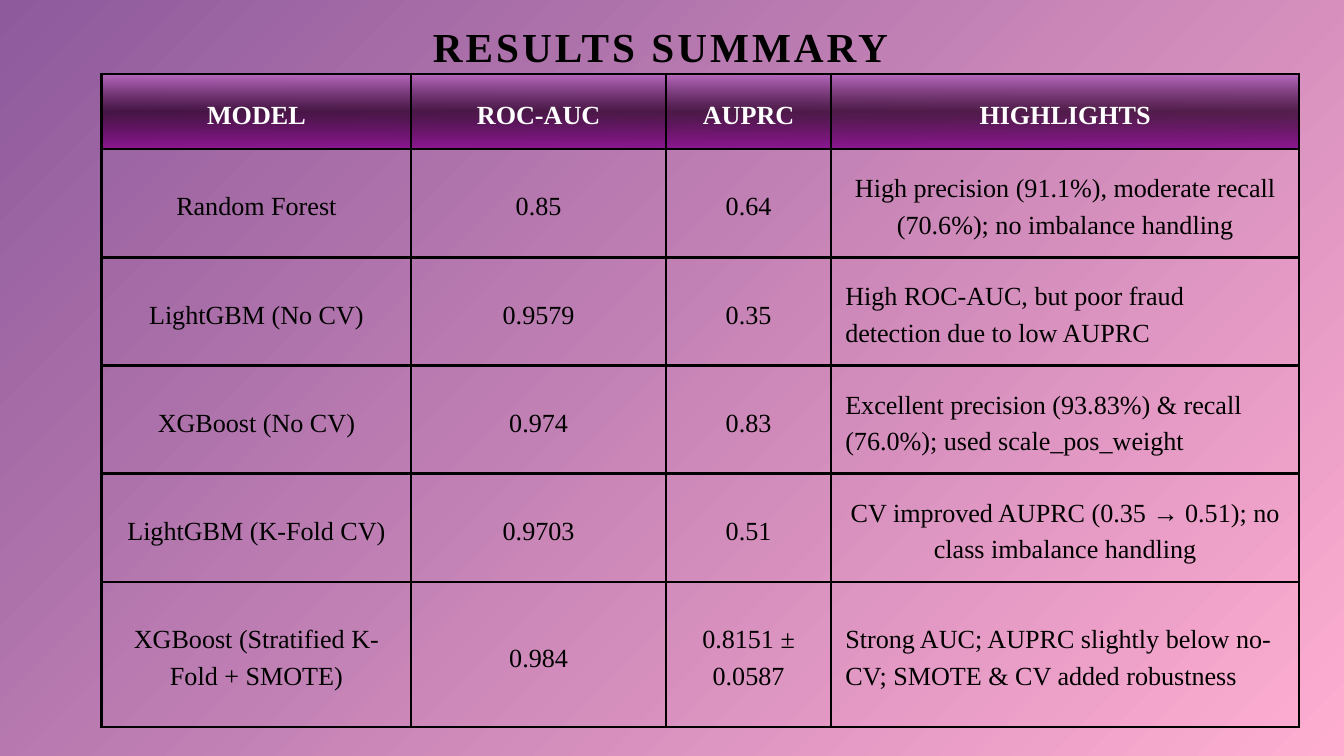
from lxml.etree import SubElement
from pptx import Presentation
from pptx.dml.color import RGBColor
from pptx.enum.text import MSO_ANCHOR, MSO_AUTO_SIZE, PP_ALIGN
from pptx.oxml.ns import qn
from pptx.util import Inches, Pt

FONT = "Times New Roman"
BLACK = RGBColor(0x00, 0x00, 0x00)
WHITE = RGBColor(0xFF, 0xFF, 0xFF)
MAUVE = RGBColor(0x8E, 0x5A, 0x9C)
PINK = RGBColor(0xFF, 0xAE, 0xD1)
ORCHID = RGBColor(0xBD, 0x6D, 0xC4)
PLUM = RGBColor(0x32, 0x03, 0x2F)
PURPLE = RGBColor(0x91, 0x18, 0x96)

# Gradient stops: position %, colour, opacity %
PAGE_STOPS = [(0, MAUVE, 100), (100, PINK, 100)]
HEADER_STOPS = [(0, ORCHID, 100), (50, PLUM, 80), (100, PURPLE, 100)]

COLUMNS = [4.61, 3.79, 2.46, 6.96]
ROWS = [1.12] + [1.61] * 4 + [2.16]
LEFT_ALIGNED_ROWS = (2, 3, 5)  # in the highlights column
RESULTS = [
    ("MODEL", "ROC-AUC", "AUPRC", "HIGHLIGHTS"),
    ("Random Forest", "0.85", "0.64",
     "High precision (91.1%), moderate recall (70.6%); no imbalance handling"),
    ("LightGBM (No CV)", "0.9579", "0.35",
     "High ROC-AUC, but poor fraud detection due to low AUPRC"),
    ("XGBoost (No CV)", "0.974", "0.83",
     "Excellent precision (93.83%) & recall (76.0%); used scale_pos_weight"),
    ("LightGBM (K-Fold CV)", "0.9703", "0.51",
     "CV improved AUPRC (0.35 → 0.51); no class imbalance handling"),
    ("XGBoost (Stratified K-Fold + SMOTE)", "0.984", "0.8151 ± 0.0587",
     "Strong AUC; AUPRC slightly below no-CV; SMOTE & CV added robustness"),
]


def add_gradient(parent, stops, angle):
    grad = SubElement(parent, qn("a:gradFill"), rotWithShape="1")
    gs_list = SubElement(grad, qn("a:gsLst"))
    for pos, color, opacity in stops:
        gs = SubElement(gs_list, qn("a:gs"), pos=str(pos * 1000))
        clr = SubElement(gs, qn("a:srgbClr"), val=str(color))
        if opacity < 100:
            SubElement(clr, qn("a:alpha"), val=str(opacity * 1000))
    SubElement(grad, qn("a:lin"), ang=str(angle * 60000), scaled="0")


def add_borders(tc_pr, color, width):
    for side in ("L", "R", "T", "B"):
        ln = SubElement(tc_pr, qn(f"a:ln{side}"), w=str(Pt(width)))
        fill = SubElement(ln, qn("a:solidFill"))
        SubElement(fill, qn("a:srgbClr"), val=str(color))


def style_text(p, size, color, bold, align, spacing):
    p.alignment = align
    p.line_spacing = Pt(spacing)
    for r in p.runs:
        r.font.name, r.font.size = FONT, Pt(size)
        r.font.bold, r.font.color.rgb = bold, color


def set_background(s):
    s.background.fill.solid()
    bg_pr = s.background._cSld.bg.bgPr
    bg_pr.remove(bg_pr[0])
    add_gradient(bg_pr, PAGE_STOPS, 45)
    bg_pr.insert(0, bg_pr[-1])


def place_title(s, left, top, width, height):
    title = s.shapes.title
    title.left, title.top = Inches(left), Inches(top)
    title.width, title.height = Inches(width), Inches(height)
    tf = title.text_frame
    tf.text = "RESULTS SUMMARY"
    tf.margin_left = tf.margin_right = tf.margin_top = tf.margin_bottom = 0
    tf.vertical_anchor = MSO_ANCHOR.TOP
    tf.auto_size = MSO_AUTO_SIZE.SHAPE_TO_FIT_TEXT
    p = tf.paragraphs[0]
    style_text(p, 44.2, BLACK, True, PP_ALIGN.LEFT, 68.1)
    p.space_before = Pt(0)
    p.runs[0].font._rPr.set("spc", "330")


def format_cell(cell, text, is_header, align):
    cell.text = text
    cell.vertical_anchor = MSO_ANCHOR.MIDDLE
    cell.margin_left = cell.margin_right = Inches(0.21)
    cell.margin_top = cell.margin_bottom = Inches(0.21)
    style_text(cell.text_frame.paragraphs[0], 28,
               WHITE if is_header else BLACK, is_header, align, 39.2)
    tc_pr = cell._tc.get_or_add_tcPr()
    add_borders(tc_pr, BLACK, 3)
    if is_header:
        add_gradient(tc_pr, HEADER_STOPS, 90)
    else:
        cell.fill.background()


def place_results_table(s, left, top):
    frame = s.shapes.add_table(len(ROWS), len(COLUMNS), Inches(left), Inches(top),
                               Inches(sum(COLUMNS)), Inches(sum(ROWS)))
    table = frame.table
    table.horz_banding = False
    for column, width in zip(table.columns, COLUMNS):
        column.width = Inches(width)
    for row, height in zip(table.rows, ROWS):
        row.height = Inches(height)
    for i, values in enumerate(RESULTS):
        for j, text in enumerate(values):
            is_left = j == 3 and i in LEFT_ALIGNED_ROWS
            align = PP_ALIGN.LEFT if is_left else PP_ALIGN.CENTER
            format_cell(table.cell(i, j), text, i == 0, align)


def main():
    prs = Presentation()
    prs.slide_width, prs.slide_height = Inches(20), Inches(11.25)
    s = prs.slides.add_slide(prs.slide_layouts[5])  # title only
    set_background(s)
    place_results_table(s, 1.51, 1.1)
    place_title(s, 6.44, 0.11, 7.11, 0.99)
    prs.save("out.pptx")


if __name__ == "__main__":
    main()
